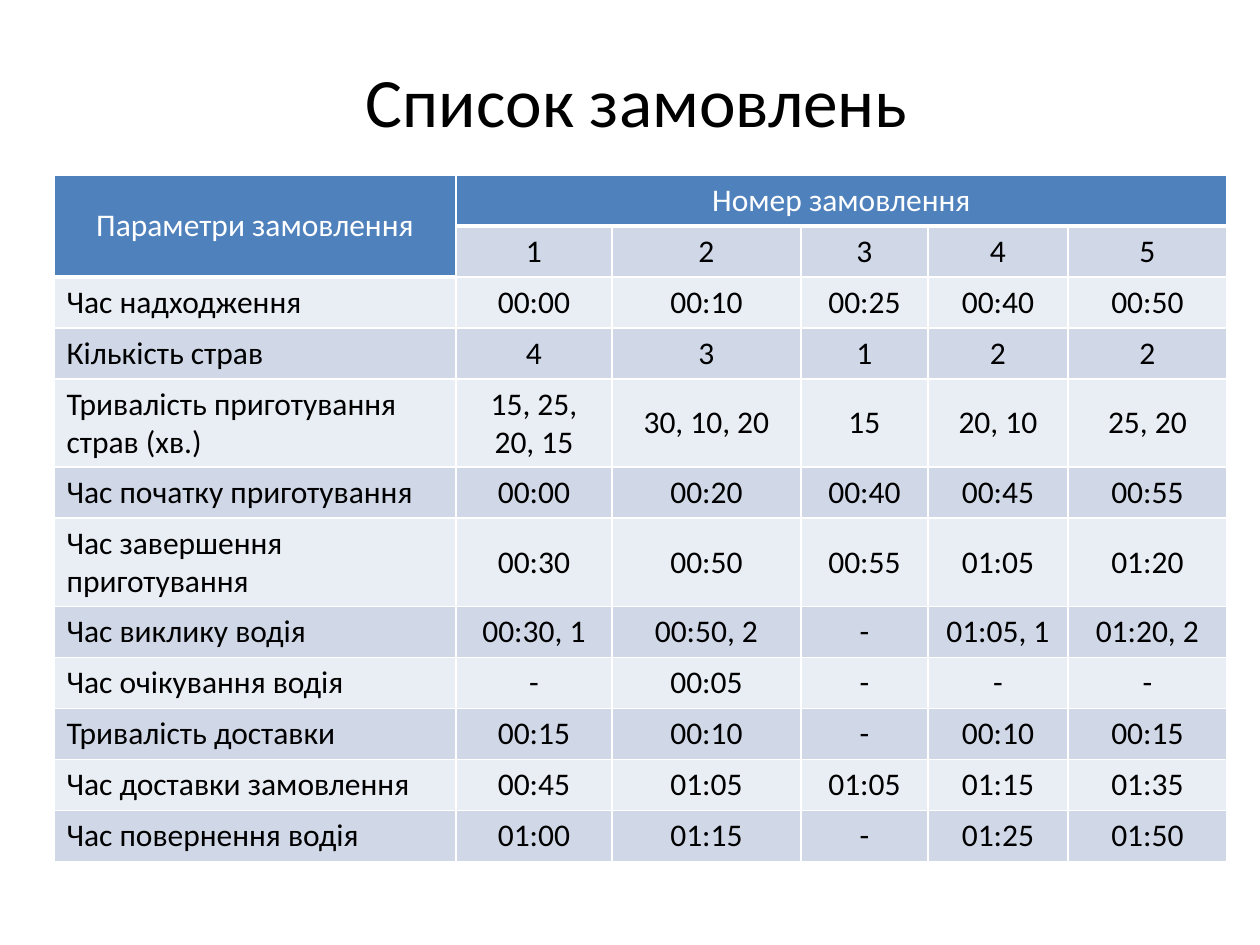
from lxml.etree import SubElement
from pptx import Presentation
from pptx.dml.color import RGBColor
from pptx.enum.text import MSO_ANCHOR, PP_ALIGN
from pptx.oxml.ns import qn
from pptx.util import Emu, Pt

HUES = {"head": "4F81BD", "dark": "D0D8E8", "light": "E9EDF4",
        "white": "FFFFFF", "black": "000000"}
WIDTHS = [402, 156, 189, 127, 140, 159]
ROW = 51
ORDERS = [
    ["Параметри замовлення", "Номер замовлення", "", "", "", ""],
    ["", "1", "2", "3", "4", "5"],
    ["Час надходження", "00:00", "00:10", "00:25", "00:40", "00:50"],
    ["Кількість страв", "4", "3", "1", "2", "2"],
    ["Тривалість приготування страв (хв.)",
     "15, 25, 20, 15", "30, 10, 20", "15", "20, 10", "25, 20"],
    ["Час початку приготування", "00:00", "00:20", "00:40", "00:45", "00:55"],
    ["Час завершення приготування",
     "00:30", "00:50", "00:55", "01:05", "01:20"],
    ["Час виклику водія", "00:30, 1", "00:50, 2", "-", "01:05, 1", "01:20, 2"],
    ["Час очікування водія", "-", "00:05", "-", "-", "-"],
    ["Тривалість доставки", "00:15", "00:10", "-", "00:10", "00:15"],
    ["Час доставки замовлення", "00:45", "01:05", "01:05", "01:15", "01:35"],
    ["Час повернення водія", "01:00", "01:15", "-", "01:25", "01:50"],
]


def px(n):
    return Emu(round(n * 914400 / 126))


def hue(name):
    return RGBColor.from_string(HUES[name])


def apply(target, form):
    for name, value in form.items():
        setattr(target, name, value)


def write(frame, text, size, color, align):
    para = frame.paragraphs[0]
    para.alignment = align
    run = para.add_run()
    run.text = text
    apply(run.font, {"name": "Calibri", "size": Pt(size), "bold": False})
    run.font.color.rgb = hue(color)


def edge(cell, base):
    """Give a cell white borders; base is the bottom width in points."""
    props = cell._tc.get_or_add_tcPr()
    for side, width in (("L", 1), ("R", 1), ("T", 1), ("B", base)):
        line = SubElement(props, qn(f"a:ln{side}"), w=str(Pt(width)))
        fill = SubElement(line, qn("a:solidFill"))
        SubElement(fill, qn("a:srgbClr"), val=HUES["white"])


def add_title(slide, left, top, width, height):
    box = slide.shapes.add_textbox(px(left), px(top), px(width), px(height))
    apply(box.text_frame, {
        "word_wrap": True, "vertical_anchor": MSO_ANCHOR.MIDDLE,
        "margin_top": px(10), "margin_bottom": 0})
    write(box.text_frame, "Список замовлень", 39.6, "black", PP_ALIGN.CENTER)


def add_orders(slide, left, top):
    frame = slide.shapes.add_table(
        len(ORDERS), len(WIDTHS), px(left), px(top),
        px(sum(WIDTHS)), px(ROW * len(ORDERS)))
    table = frame.table
    apply(table, {"first_row": False, "horz_banding": False})
    for col, width in zip(table.columns, WIDTHS):
        col.width = px(width)
    for row in table.rows:
        row.height = px(ROW)
    table.cell(0, 0).merge(table.cell(1, 0))
    table.cell(0, 1).merge(table.cell(0, 5))
    for r, texts in enumerate(ORDERS):
        for c, text in enumerate(texts):
            cell = table.cell(r, c)
            head = r == 0 or (r == 1 and c == 0)
            label = c == 0 and not head
            edge(cell, 3 if head else 1)
            cell.fill.solid()
            shade = "head" if head else "dark" if r % 2 else "light"
            cell.fill.fore_color.rgb = hue(shade)
            cell.vertical_anchor = (
                MSO_ANCHOR.TOP if label else MSO_ANCHOR.MIDDLE)
            if text:
                write(cell.text_frame, text, 18, "white" if head else "black",
                      PP_ALIGN.LEFT if label else PP_ALIGN.CENTER)


def main():
    deck = Presentation()
    apply(deck, {"slide_width": px(1260), "slide_height": px(945)})
    slide = deck.slides.add_slide(deck.slide_layouts[6])
    add_title(slide, 94, 66, 1086, 58)
    add_orders(slide, 54, 175)
    deck.save("out.pptx")


if __name__ == "__main__":
    main()
